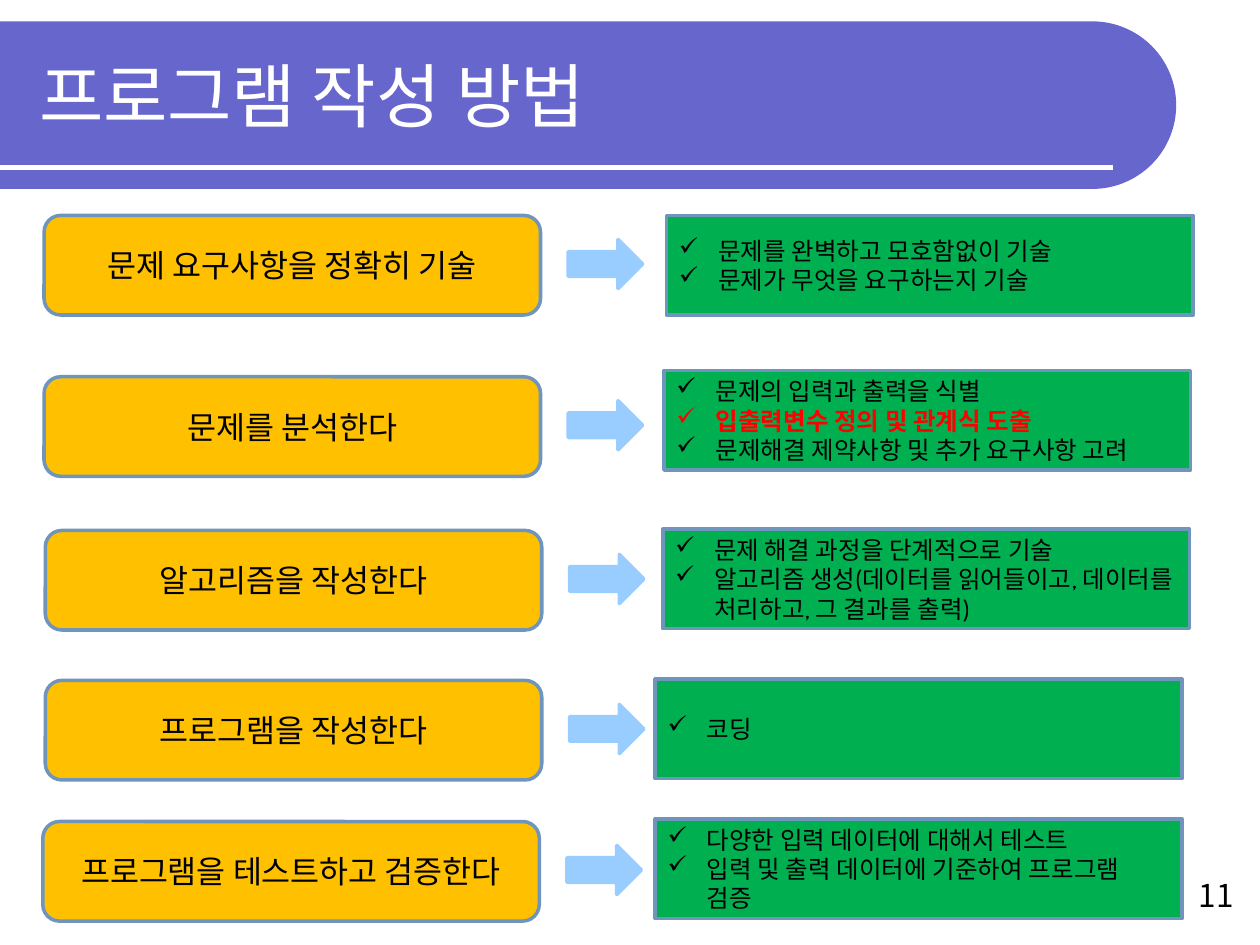
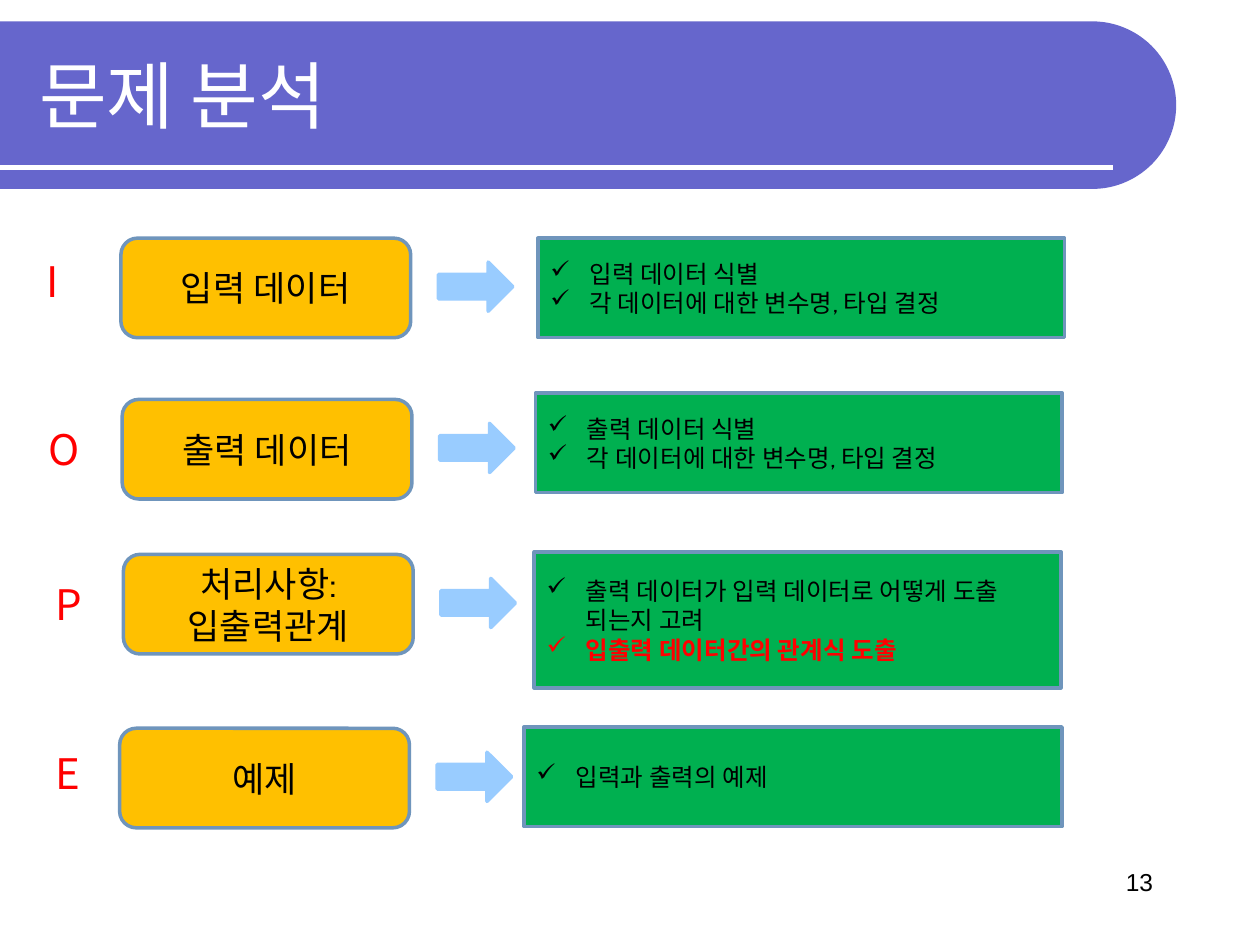
"""Build two Korean slides on writing a program and analysing a problem."""
from dataclasses import dataclass
from math import cos, pi, sin

from lxml.etree import SubElement
from pptx import Presentation
from pptx.dml.color import RGBColor
from pptx.enum.shapes import MSO_CONNECTOR, MSO_SHAPE
from pptx.enum.text import MSO_ANCHOR, MSO_AUTO_SIZE, PP_ALIGN
from pptx.oxml.ns import qn
from pptx.util import Inches, Pt


@dataclass(frozen=True)
class Theme:
    band: str = "6666CC"
    white: str = "FFFFFF"
    black: str = "000000"
    red: str = "FF0000"
    step: str = "FFC000"
    detail: str = "00B050"
    border: str = "6F95BC"
    arrow: str = "99CCFF"
    head_font: str = "Noto Sans CJK KR"
    body_font: str = "Cabin"
    number_font: str = "Arial"
    detail_size: int = 14
    letter_size: int = 24


theme = Theme()
HOT = "*"
BOX_H = 0.79

SLIDES = [
    dict(
        title="프로그램 작성 방법", title_size=40, step_w=3.94, step_size=18,
        number=("11", 7.56, 6.9, 2.33, 0.52, theme.head_font, 18),
        letters=[],
        rows=[
            (0.35, 1.71, ["문제 요구사항을 정확히 기술"], (5.29, 1.71, 4.18, BOX_H),
             ["문제를 완벽하고 모호함없이 기술", "문제가 무엇을 요구하는지 기술"]),
            (0.35, 2.99, ["문제를 분석한다"], (5.27, 2.94, 4.18, BOX_H),
             ["문제의 입력과 출력을 식별", HOT + "입출력변수 정의 및 관계식 도출",
              "문제해결 제약사항 및 추가 요구사항 고려"]),
            (0.36, 4.21, ["알고리즘을 작성한다"], (5.26, 4.2, 4.18, BOX_H),
             ["문제 해결 과정을 단계적으로 기술",
              "알고리즘 생성(데이터를 읽어들이고, 데이터를 처리하고, 그 결과를 출력)"]),
            (0.36, 5.4, ["프로그램을 작성한다"], (5.2, 5.39, 4.18, BOX_H), ["코딩"]),
            (0.34, 6.52, ["프로그램을 테스트하고 검증한다"], (5.2, 6.5, 4.18, BOX_H),
             ["다양한 입력 데이터에 대해서 테스트",
              "입력 및 출력 데이터에 기준하여 프로그램 검증"]),
        ],
    ),
    dict(
        title="문제 분석", title_size=42, step_w=2.3, step_size=20,
        number=("13", 7.17, 6.83, 2.08, 0.5, theme.number_font, 14),
        letters=[("I", 0.27, 1.98, 0.32), ("O", 0.29, 3.31, 0.44),
                 ("P", 0.34, 4.54, 0.4), ("E", 0.34, 5.88, 0.41)],
        rows=[
            (0.96, 1.89, ["입력 데이터"], (4.27, 1.89, 4.18, BOX_H),
             ["입력 데이터 식별", "각 데이터에 대한 변수명, 타입 결정"]),
            (0.97, 3.17, ["출력 데이터"], (4.25, 3.12, 4.18, BOX_H),
             ["출력 데이터 식별", "각 데이터에 대한 변수명, 타입 결정"]),
            (0.98, 4.4, ["처리사항:", "입출력관계"], (4.24, 4.38, 4.18, 1.08),
             ["출력 데이터가 입력 데이터로 어떻게 도출 되는지 고려",
              HOT + "입출력 데이터간의 관계식 도출"]),
            (0.95, 5.78, ["예제"], (4.16, 5.77, 4.27, BOX_H), ["입력과 출력의 예제"]),
        ],
    ),
]


def add_box(s, kind, x, y, w, h, fill, line):
    sp = s.shapes.add_shape(kind, Inches(x), Inches(y), Inches(w), Inches(h))
    sp.shadow.inherit = False
    sp.fill.solid()
    sp.fill.fore_color.rgb = RGBColor.from_string(fill)
    sp.line.color.rgb = RGBColor.from_string(line)
    sp.line.width = Pt(2)
    return sp


def write(tf, lines, font, size, color, align=PP_ALIGN.LEFT, bullet=False):
    for i, text in enumerate(lines):
        p = tf.add_paragraph() if i else tf.paragraphs[0]
        p.alignment = align
        hot = text.startswith(HOT)
        ink = theme.red if hot else color
        if bullet:
            pPr = p._p.get_or_add_pPr()
            pPr.set("marL", str(Inches(0.31)))
            pPr.set("indent", str(-Inches(0.31)))
            SubElement(SubElement(pPr, qn("a:buClr")), qn("a:srgbClr")).set("val", ink)
            SubElement(pPr, qn("a:buChar")).set("char", "✓")
        r = p.add_run()
        r.text = text.removeprefix(HOT)
        r.font.name = font
        r.font.size = Pt(size)
        r.font.bold = hot
        r.font.color.rgb = RGBColor.from_string(ink)
        SubElement(r.font._element, qn("a:ea")).set("typeface", font)


prs = Presentation()
prs.slide_width, prs.slide_height = Inches(10), Inches(7.5)
layout = prs.slide_layouts[5]
slides = [prs.slides.add_slide(layout) for _ in SLIDES]

top, radius, center_x = 0.17, 0.665, 8.67
angles = [pi * k / 60 - pi / 2 for k in range(61)]
arc = [(Inches(center_x + radius * cos(a)), Inches(top + radius + radius * sin(a))) for a in angles]
builder = slides[0].shapes.build_freeform(0, Inches(top), scale=1.0)
builder.add_line_segments(arc + [(0, Inches(top + 2 * radius))], close=True)
band = builder.convert_to_shape()
band.shadow.inherit = False
band.fill.solid()
band.fill.fore_color.rgb = RGBColor.from_string(theme.band)
band.line.fill.background()

rule = slides[0].shapes.add_connector(
    MSO_CONNECTOR.STRAIGHT, 0, Inches(1.33), Inches(8.83), Inches(1.33))
rule.line.color.rgb = RGBColor.from_string(theme.white)
rule.line.width = Pt(3)
SubElement(rule._element.spPr, qn("a:effectLst"))

for shape_id, sp in enumerate((band, rule), 20):
    sp._element.xpath(".//p:cNvPr")[0].set("id", str(shape_id))
    layout.shapes.element.append(sp._element)

for s, data in zip(slides, SLIDES):
    title = s.shapes.title
    title.left, title.top = Inches(0.21), Inches(0.25)
    title.width, title.height = Inches(8.77), Inches(1)
    tf = title.text_frame
    tf.auto_size = MSO_AUTO_SIZE.NONE
    tf.vertical_anchor = MSO_ANCHOR.MIDDLE
    write(tf, [data["title"]], theme.head_font, data["title_size"], theme.white)

    for x, y, step, detail_at, details in data["rows"]:
        sp = add_box(s, MSO_SHAPE.ROUNDED_RECTANGLE, x, y, data["step_w"], BOX_H,
                     theme.step, theme.border)
        write(sp.text_frame, step, theme.body_font, data["step_size"], theme.black,
              PP_ALIGN.CENTER)
        add_box(s, MSO_SHAPE.RIGHT_ARROW, x + data["step_w"] + 0.22, y + 0.19, 0.59, 0.39,
                theme.arrow, theme.arrow)
        sp = add_box(s, MSO_SHAPE.RECTANGLE, *detail_at, theme.detail, theme.border)
        write(sp.text_frame, details, theme.body_font, theme.detail_size, theme.black,
              bullet=True)

    for letter, x, y, w in data["letters"]:
        tf = s.shapes.add_textbox(Inches(x), Inches(y), Inches(w), Inches(0.5)).text_frame
        tf.word_wrap = False
        tf.auto_size = MSO_AUTO_SIZE.SHAPE_TO_FIT_TEXT
        write(tf, [letter], theme.head_font, theme.letter_size, theme.red)

    number, x, y, w, h, font, size = data["number"]
    tf = s.shapes.add_textbox(Inches(x), Inches(y), Inches(w), Inches(h)).text_frame
    tf.word_wrap = True
    write(tf, [number], font, size, theme.black, PP_ALIGN.RIGHT)

prs.save("out.pptx")
